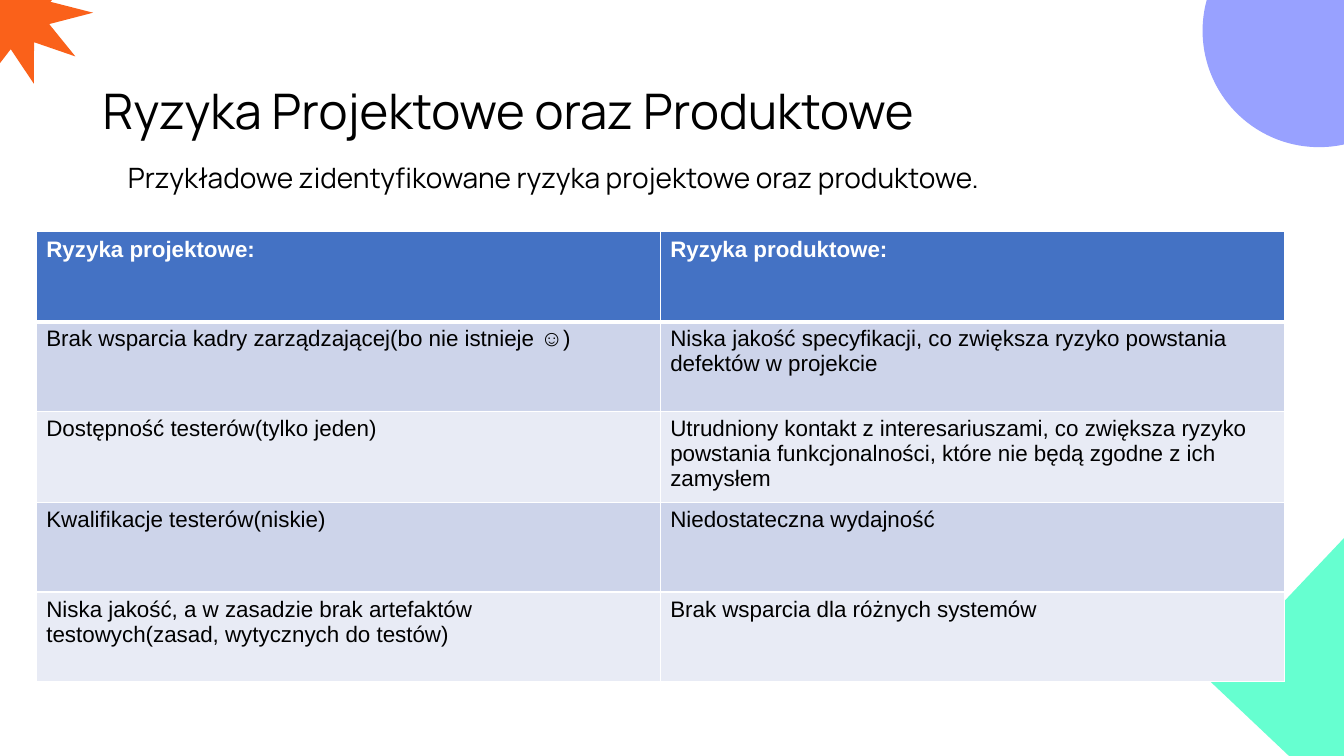
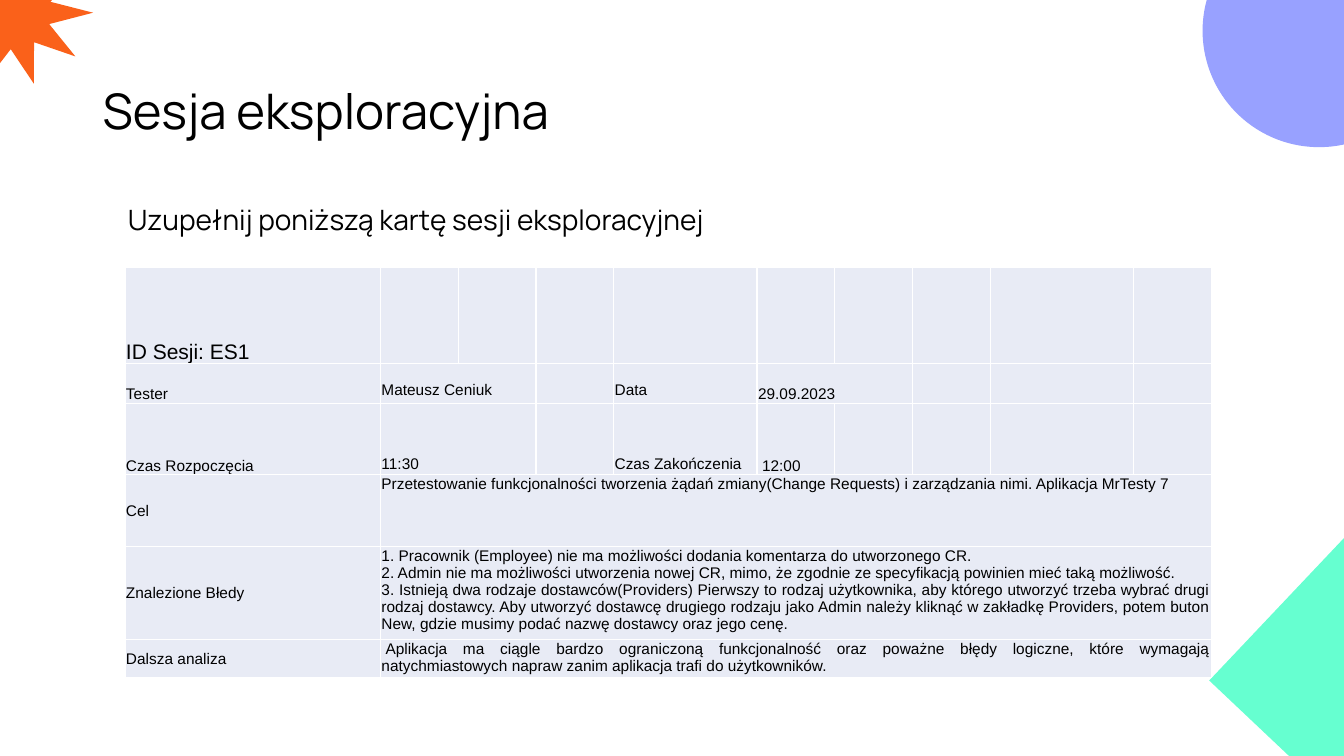
import pptx
import pptx.util
import pptx.dml.color
import pptx.enum.shapes
import pptx.enum.text
import pptx.oxml.ns
import lxml.etree

COLORS = {
    "text": "000000",
    "white": "FFFFFF",
    "header": "4472C4",
    "band": "CDD4EA",
    "pale": "E8EBF5",
    "violet": "98A1FF",
    "mint": "66FFD0",
    "orange": "FA611A",
}
ANCHORS = {
    "top": pptx.enum.text.MSO_ANCHOR.TOP,
    "middle": pptx.enum.text.MSO_ANCHOR.MIDDLE,
    "bottom": pptx.enum.text.MSO_ANCHOR.BOTTOM,
}
SHAPES = pptx.enum.shapes.MSO_SHAPE
WIDTH, HEIGHT = pptx.util.Inches(13.33), pptx.util.Inches(7.5)

DECORATIONS = [
    (SHAPES.OVAL, (89.48, -11.33, 17.33, 30.8), 0, "violet"),
    (SHAPES.RECTANGLE, (92.78, 65.6, 29.1, 36), 313.4, "mint"),
    (SHAPES.STAR_10_POINT, (-4.8, -8, 11.48, 19.47), 343.3, "orange"),
]
TITLE_AREA = (6.9, 5.33, 81.68, 19.33)

RISKS = [
    ("Ryzyka projektowe:", "Ryzyka produktowe:"),
    ("Brak wsparcia kadry zarządzającej(bo nie istnieje ☺)",
     "Niska jakość specyfikacji, co zwiększa ryzyko powstania defektów w projekcie"),
    ("Dostępność testerów(tylko jeden)",
     "Utrudniony kontakt z interesariuszami, co zwiększa ryzyko powstania "
     "funkcjonalności, które nie będą zgodne z ich zamysłem"),
    ("Kwalifikacje testerów(niskie)", "Niedostateczna wydajność"),
    ("Niska jakość, a w zasadzie brak artefaktów testowych(zasad, wytycznych do testów)",
     "Brak wsparcia dla różnych systemów"),
]

SESSION_COLUMNS = [2.53] + [0.77, 0.77, 0.77, 1.42] * 2 + [0.77]
SESSION_ROWS = [0.96, 0.39, 0.71, 0.71, 0.86, 0.36]
SESSION_LABELS = [
    ("ID Sesji: ES1", "bottom"),
    ("Tester", "bottom"),
    ("Czas Rozpoczęcia", "bottom"),
    ("Cel", "middle"),
    ("Znalezione Błedy", "middle"),
    ("Dalsza analiza", "middle"),
]
SESSION_ENTRIES = [
    (1, 1, 2, ["Mateusz Ceniuk"], {"anchor": "bottom", "lift": 0.04}),
    (1, 4, 1, ["Data"], {"anchor": "bottom", "lift": 0.04}),
    (1, 5, 2, ["29.09.2023"], {"anchor": "bottom"}),
    (2, 1, 2, ["11:30"], {"anchor": "bottom", "lift": 0.02}),
    (2, 4, 1, ["Czas Zakończenia"], {"anchor": "bottom", "lift": 0.02}),
    (2, 5, 1, ["12:00"], {"anchor": "bottom", "first_indent": 0.04}),
    (3, 1, 9, ["Przetestowanie funkcjonalności tworzenia żądań zmiany(Change Requests) "
               "i zarządzania nimi. Aplikacja MrTesty 7"], {}),
    (4, 1, 9, [
        "1. Pracownik (Employee) nie ma możliwości dodania komentarza do utworzonego CR.",
        "2. Admin nie ma możliwości utworzenia nowej CR, mimo, że zgodnie ze specyfikacją "
        "powinien mieć taką możliwość.",
        "3. Istnieją dwa rodzaje dostawców(Providers) Pierwszy to rodzaj użytkownika, aby "
        "którego utworzyć trzeba wybrać drugi rodzaj dostawcy. Aby utworzyć dostawcę "
        "drugiego rodzaju jako Admin należy kliknąć w zakładkę Providers, potem buton New, "
        "gdzie musimy podać nazwę dostawcy oraz jego cenę.",
    ], {}),
    (5, 1, 9, ["Aplikacja ma ciągle bardzo ograniczoną funkcjonalność oraz poważne błędy "
               "logiczne, które wymagają natychmiastowych napraw zanim aplikacja trafi do "
               "użytkowników."], {"first_indent": 0.04}),
]


def color(name):
    return pptx.dml.color.RGBColor.from_string(COLORS[name])


def place(area):
    return [round(share / 100 * side) for share, side in zip(area, (WIDTH, HEIGHT) * 2)]


def write(frame, lines, size, font="Arial", ink="text", bold=False,
          justify=False, spacing=None, indent=0, first_indent=0):
    for number, line in enumerate(lines):
        paragraph = frame.add_paragraph() if number else frame.paragraphs[0]
        if justify:
            paragraph.alignment = pptx.enum.text.PP_ALIGN.JUSTIFY
        if spacing:
            paragraph.line_spacing = spacing
        properties = paragraph._p.get_or_add_pPr()
        properties.set("marL", str(pptx.util.Inches(indent)))
        properties.set("indent", str(pptx.util.Inches(first_indent)))
        run = paragraph.add_run()
        run.text = line
        run.font.size = pptx.util.Pt(size)
        run.font.name = font
        run.font.bold = bold
        run.font.color.rgb = color(ink)


def add_text(slide, area, text, anchor="top", **style):
    frame = slide.shapes.add_textbox(*place(area)).text_frame
    frame.word_wrap = True
    frame.vertical_anchor = ANCHORS[anchor]
    write(frame, [text], font="Manrope", spacing=0.9, **style)


def start_slide(deck, title, subtitle, subtitle_top):
    slide = deck.slides.add_slide(deck.slide_layouts[6])
    for outline, area, rotation, fill in DECORATIONS:
        decoration = slide.shapes.add_shape(outline, *place(area))
        decoration.shadow.inherit = False
        decoration.rotation = rotation
        decoration.fill.solid()
        decoration.fill.fore_color.rgb = color(fill)
        decoration.line.fill.background()
        if outline == SHAPES.STAR_10_POINT:
            decoration.adjustments[0] = 0.243
    add_text(slide, TITLE_AREA, title, anchor="middle", size=35)
    add_text(slide, (6.9, subtitle_top, 81.68, 6.67), subtitle, size=20, indent=0.25)
    return slide


def paint(cell, fill, **widths):
    properties = cell._tc.get_or_add_tcPr()
    for side in "LRTB":
        border = lxml.etree.SubElement(
            properties, pptx.oxml.ns.qn("a:ln" + side),
            w=str(pptx.util.Pt(widths.get(side, 1))))
        ink = lxml.etree.SubElement(border, pptx.oxml.ns.qn("a:solidFill"))
        lxml.etree.SubElement(ink, pptx.oxml.ns.qn("a:srgbClr"), val=COLORS["white"])
    cell.fill.solid()
    cell.fill.fore_color.rgb = color(fill)


def add_grid(slide, area, columns, rows):
    left, top, width, height = place(area)
    grid = slide.shapes.add_table(len(rows), len(columns), left, top, width, height).table
    grid.first_row = grid.horz_banding = False
    for column, weight in zip(grid.columns, columns):
        column.width = round(width * weight / sum(columns))
    for row, weight in zip(grid.rows, rows):
        row.height = round(height * weight / sum(rows))
    return grid


def build_risks(deck):
    slide = start_slide(deck, "Ryzyka Projektowe oraz Produktowe",
                        "Przykładowe zidentyfikowane ryzyka projektowe oraz produktowe.", 21.07)
    grid = add_grid(slide, (2.7, 30.67, 92.85, 59.4), [1, 1], [1] * len(RISKS))
    for row, risks in enumerate(RISKS):
        header = row == 0
        fill = "header" if header else ("pale", "band")[row % 2]
        widths = {0: {"B": 3}, 1: {"T": 3}}.get(row, {})
        for column, risk in enumerate(risks):
            cell = grid.cell(row, column)
            paint(cell, fill, **widths)
            write(cell.text_frame, [risk], size=16, bold=header,
                  ink="white" if header else "text")


def build_session(deck):
    slide = start_slide(deck, "Sesja eksploracyjna",
                        "Uzupełnij poniższą kartę sesji eksploracyjnej", 26.67)
    grid = add_grid(slide, (9.3, 35.33, 80.85, 53.2), SESSION_COLUMNS, SESSION_ROWS)
    for cell in grid.iter_cells():
        paint(cell, "pale")
        cell.margin_left = cell.margin_right = cell.margin_top = pptx.util.Inches(0.01)
        cell.margin_bottom = 0
    labels = [(row, 0, 1, [label], {"anchor": anchor})
              for row, (label, anchor) in enumerate(SESSION_LABELS)]
    for row, column, span, lines, layout in labels + SESSION_ENTRIES:
        cell = grid.cell(row, column)
        if span > 1:
            cell.merge(grid.cell(row, column + span - 1))
        cell.vertical_anchor = ANCHORS[layout.get("anchor", "top")]
        cell.margin_bottom = pptx.util.Inches(layout.get("lift", 0))
        write(cell.text_frame, lines, size=11 if row else 15, justify=True,
              first_indent=layout.get("first_indent", 0))


def main():
    deck = pptx.Presentation()
    deck.slide_width, deck.slide_height = WIDTH, HEIGHT
    build_risks(deck)
    build_session(deck)
    deck.save("out.pptx")


if __name__ == "__main__":
    main()
